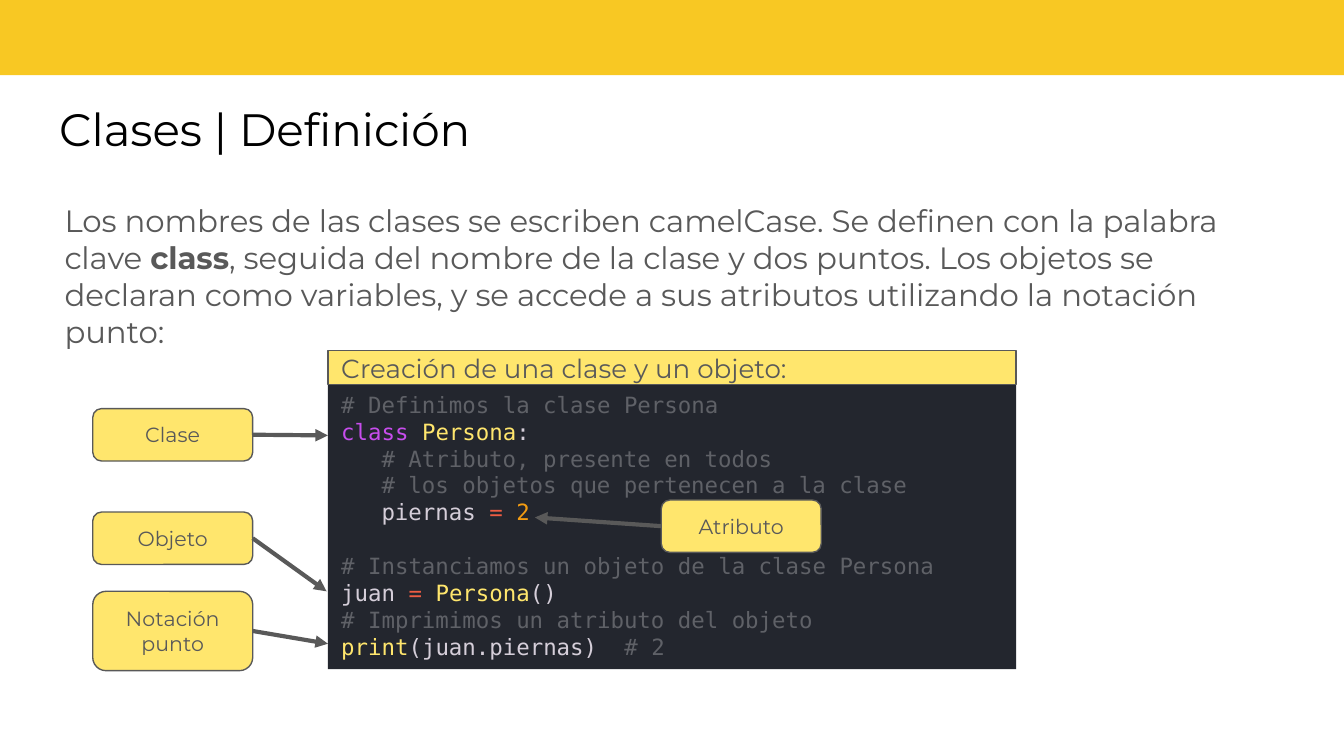
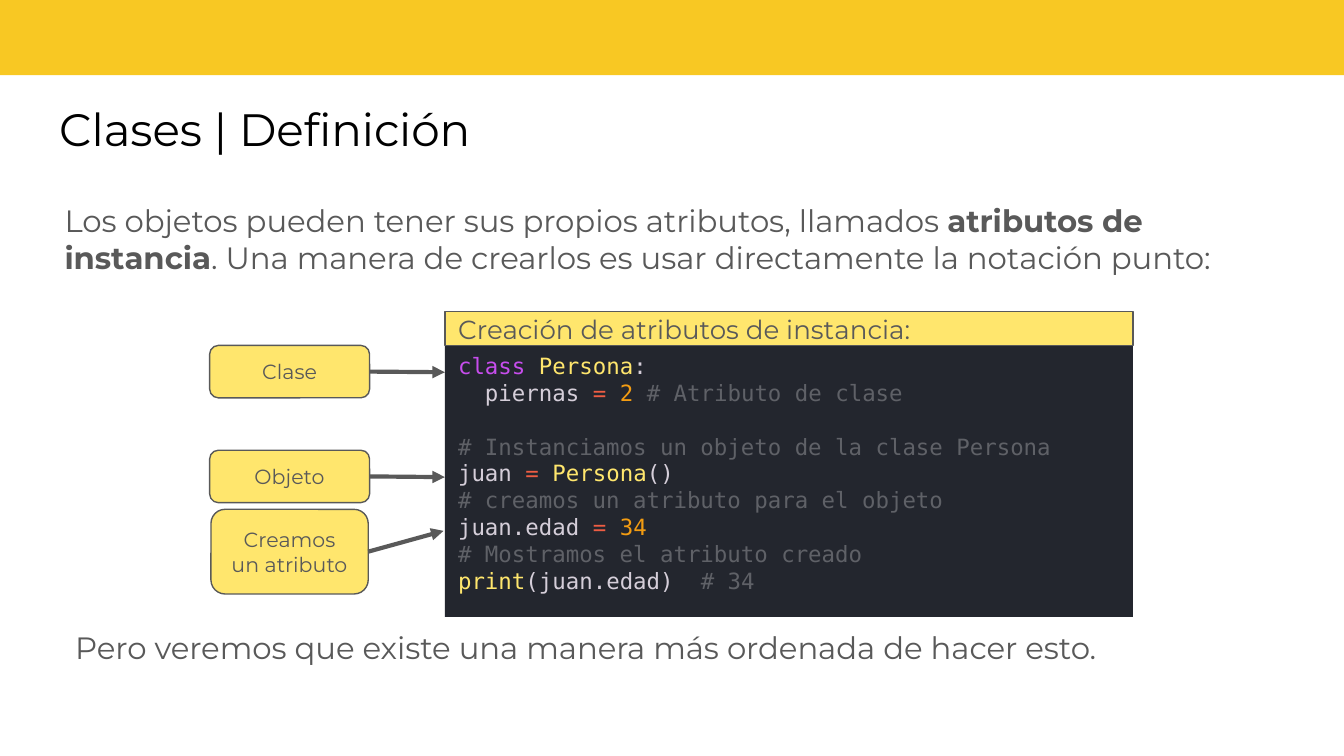
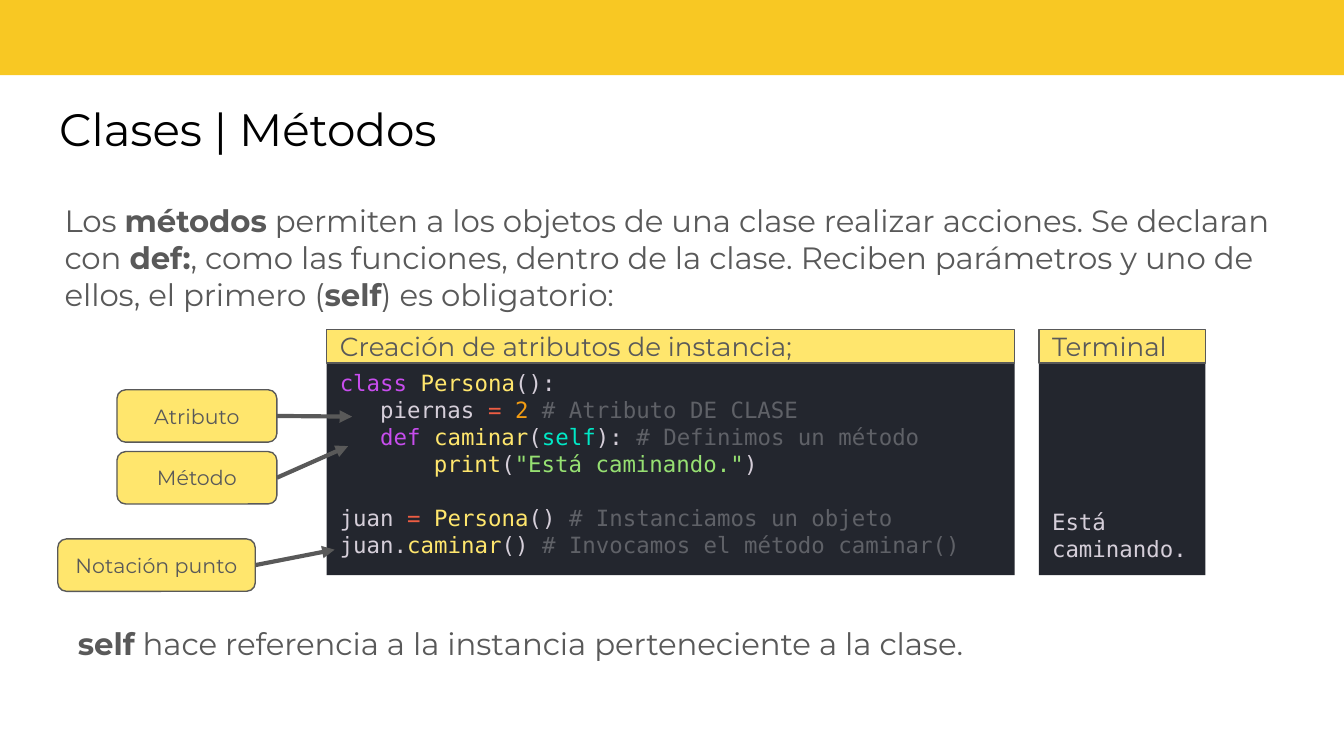
from dataclasses import dataclass
from typing import Any, NamedTuple

from lxml.etree import SubElement
from pptx import Presentation
from pptx.dml.color import RGBColor
from pptx.enum.shapes import MSO_CONNECTOR, MSO_SHAPE
from pptx.enum.text import MSO_ANCHOR, MSO_AUTO_SIZE, PP_ALIGN
from pptx.oxml.ns import qn
from pptx.util import Pt

EMU_PER_PX = 9144
SLIDE_WIDTH = 1000
LEFT_SIDE, RIGHT_SIDE = 1, 3
CODE_CHAR_WIDTH = 10
HEADER_HEIGHT = 25

BAND = "F8C823"
LABEL = "FFE66D"
GRAY = "595959"
BLACK = "000000"
EDITOR = "23262E"
SYNTAX = {
    "plain": "D5CED9",
    "comment": "5F6167",
    "keyword": "C74DED",
    "name": "FFE66D",
    "operator": "EE5D43",
    "number": "F39C12",
    "self": "00E8C6",
    "string": "96E072",
}

TITLE_FONT = {"name": "Montserrat", "size": Pt(24.3)}
PROSE_FONT = {"name": "Montserrat", "size": Pt(16.5)}
HEADER_FONT = {"name": "Montserrat", "size": Pt(14)}
LABEL_FONT = {"name": "Montserrat", "size": Pt(11)}
CODE_FONT = {"name": "DejaVu Sans Mono", "size": Pt(12)}
NOTE_PARAGRAPH = {"line_spacing": 1.15, "space_before": Pt(0), "space_after": Pt(12)}
BLANK_LINE = Pt(14.4)


class Box(NamedTuple):
    left: int
    top: int
    width: int
    height: int


class Token(NamedTuple):
    text: str
    role: str = "plain"


@dataclass(frozen=True)
class CodeLine:
    tokens: tuple[Token, ...]
    indent: int = 0
    after_blank: bool = False


@dataclass(frozen=True)
class Panel:
    header: str
    box: Box
    lines: tuple[CodeLine, ...]
    anchor: Any = MSO_ANCHOR.TOP


@dataclass(frozen=True)
class Callout:
    text: str
    box: Box
    target: tuple[int, int]
    side: int = RIGHT_SIDE


@dataclass(frozen=True)
class Lesson:
    title: str
    intro: str
    panels: tuple[Panel, ...]
    callouts: tuple[Callout, ...]
    note: str = ""
    note_box: Box = Box(0, 0, 0, 0)


def px(length: int) -> int:
    return length * EMU_PER_PX


def rgb(value: str) -> RGBColor:
    return RGBColor.from_string(value)


def apply(target: Any, values: dict[str, Any]) -> None:
    for attribute, value in values.items():
        setattr(target, attribute, value)


def place(shape: Any, box: Box) -> None:
    apply(shape, {side: px(length) for side, length in box._asdict().items()})


def set_frame(shape: Any, anchor: Any, across: int, down: int) -> Any:
    frame = shape.text_frame
    apply(frame, {
        "word_wrap": True,
        "auto_size": MSO_AUTO_SIZE.NONE,
        "vertical_anchor": anchor,
        "margin_left": px(across),
        "margin_right": px(across),
        "margin_top": px(down),
        "margin_bottom": px(down),
    })
    return frame


def add_run(paragraph: Any, text: str, font: dict[str, Any], color: str, bold: bool = False) -> None:
    run = paragraph.add_run()
    run.text = text
    apply(run.font, font | {"bold": bold})
    run.font.color.rgb = rgb(color)


def write(paragraph: Any, text: str, font: dict[str, Any], color: str = GRAY,
          alignment: Any = PP_ALIGN.LEFT) -> None:
    paragraph.alignment = alignment
    for index, part in enumerate(text.split("**")):
        if part:
            add_run(paragraph, part, font, color, index % 2 == 1)


def add_block(slide: Any, kind: Any, box: Box, fill: str, outline: str = "") -> Any:
    block = slide.shapes.add_shape(kind, *map(px, box))
    block.shadow.inherit = False
    block.fill.solid()
    block.fill.fore_color.rgb = rgb(fill)
    if outline:
        block.line.color.rgb = rgb(outline)
        block.line.width = Pt(0.75)
    else:
        block.line.fill.background()
    return block


def add_master_band(deck: Any, slide: Any) -> None:
    band = add_block(slide, MSO_SHAPE.RECTANGLE, Box(-1, -5, 1003, 61), BAND)
    band.element.nvSpPr.cNvPr.set("id", "20")
    deck.slide_master.shapes.element.insert(2, band.element)


def add_panel(slide: Any, panel: Panel) -> None:
    editor = add_block(slide, MSO_SHAPE.RECTANGLE, panel.box, EDITOR)
    down = 5 if panel.anchor == MSO_ANCHOR.TOP else 10
    frame = set_frame(editor, panel.anchor, 10, down)
    for index, line in enumerate(panel.lines):
        paragraph = frame.add_paragraph() if index else frame.paragraphs[0]
        paragraph.alignment = PP_ALIGN.LEFT
        if line.after_blank:
            paragraph.space_before = BLANK_LINE
        if line.indent:
            paragraph._p.get_or_add_pPr().set("marL", str(px(line.indent * CODE_CHAR_WIDTH)))
        for token in line.tokens:
            add_run(paragraph, token.text, CODE_FONT, SYNTAX[token.role])

    header_box = panel.box._replace(top=panel.box.top - HEADER_HEIGHT, height=HEADER_HEIGHT)
    header = add_block(slide, MSO_SHAPE.RECTANGLE, header_box, LABEL, GRAY)
    write(set_frame(header, MSO_ANCHOR.MIDDLE, 10, 5).paragraphs[0], panel.header, HEADER_FONT)


def add_callout(slide: Any, callout: Callout) -> None:
    label = add_block(slide, MSO_SHAPE.FLOWCHART_ALTERNATE_PROCESS, callout.box, LABEL, GRAY)
    frame = set_frame(label, MSO_ANCHOR.MIDDLE, 10, 5)
    write(frame.paragraphs[0], callout.text, LABEL_FONT, alignment=PP_ALIGN.CENTER)

    target = tuple(map(px, callout.target))
    arrow = slide.shapes.add_connector(MSO_CONNECTOR.STRAIGHT, *target, *target)
    arrow.begin_connect(label, callout.side)
    arrow.line.color.rgb = rgb(GRAY)
    arrow.line.width = Pt(2.25)
    properties = arrow.element.spPr
    SubElement(properties.find(qn("a:ln")), qn("a:tailEnd"), type="triangle")
    SubElement(properties, qn("a:effectLst"))


def add_note(slide: Any, lesson: Lesson) -> None:
    note = slide.placeholders[1]
    place(note, lesson.note_box)
    paragraph = set_frame(note, MSO_ANCHOR.TOP, 10, 10).paragraphs[0]
    apply(paragraph, NOTE_PARAGRAPH)
    write(paragraph, lesson.note, PROSE_FONT)
    properties = paragraph._p.get_or_add_pPr()
    for attribute in ("marL", "indent"):
        properties.set(attribute, "0")
    SubElement(properties, qn("a:buNone"))


def fill_slide(slide: Any, lesson: Lesson) -> None:
    title = slide.shapes.title
    place(title, Box(34, 65, 930, 63))
    write(set_frame(title, MSO_ANCHOR.TOP, 10, 10).paragraphs[0], lesson.title, TITLE_FONT, BLACK)

    intro = slide.shapes.add_textbox(*map(px, Box(48, 140, 905, 358)))
    write(set_frame(intro, MSO_ANCHOR.TOP, 0, 10).paragraphs[0], lesson.intro, PROSE_FONT)

    for panel in lesson.panels:
        add_panel(slide, panel)
    for callout in lesson.callouts:
        add_callout(slide, callout)
    if lesson.note:
        add_note(slide, lesson)


def comment(text: str, indent: int = 0, after_blank: bool = False) -> CodeLine:
    return CodeLine((Token(text, "comment"),), indent, after_blank)


def class_header(ending: str) -> CodeLine:
    return CodeLine((Token("class", "keyword"), Token(" "), PERSONA, Token(ending)))


def assign(target: str, value: Token, *rest: Token) -> tuple[Token, ...]:
    return (Token(f"{target} "), Token("=", "operator"), Token(" "), value, *rest)


def print_call(argument: str, output: str) -> CodeLine:
    return CodeLine((Token("print", "name"), Token(f"({argument})  "), Token(output, "comment")))


def label_box(left: int, top: int, width: int = 119, height: int = 39) -> Box:
    return Box(left, top, width, height)


TWO = Token("2", "number")
PERSONA = Token("Persona", "name")
CAMINAR = Token("caminar", "name")
NEW_JUAN = assign("juan", PERSONA, Token("()"))

LESSONS = (
    Lesson(
        "Clases | Definición",
        "Los nombres de las clases se escriben camelCase. Se definen con la palabra clave "
        "**class**, seguida del nombre de la clase y dos puntos. Los objetos se declaran como "
        "variables, y se accede a sus atributos utilizando la notación punto:",
        (Panel("Creación de una clase y un objeto:", Box(244, 286, 512, 212), (
            comment("# Definimos la clase Persona"),
            class_header(":"),
            comment("# Atributo, presente en todos", 3),
            comment("# los objetos que pertenecen a la clase", 3),
            CodeLine(assign("piernas", TWO), 3),
            comment("# Instanciamos un objeto de la clase Persona", after_blank=True),
            CodeLine(NEW_JUAN),
            comment("# Imprimimos un atributo del objeto"),
            print_call("juan.piernas", "# 2"),
        )),),
        (
            Callout("Clase", label_box(69, 304), (244, 324)),
            Callout("Objeto", label_box(69, 381), (243, 440)),
            Callout("Notación punto", label_box(69, 440, height=59), (244, 479)),
            Callout("Atributo", label_box(492, 372), (398, 385), LEFT_SIDE),
        ),
    ),
    Lesson(
        "Clases | Definición",
        "Los objetos pueden tener sus propios atributos, llamados **atributos de instancia**. "
        "Una manera de crearlos es usar directamente la notación punto:",
        (Panel("Creación de atributos de instancia:", Box(331, 257, 512, 202), (
            class_header(":"),
            CodeLine(assign("piernas", TWO, Token(" "), Token("# Atributo de clase", "comment")), 2),
            comment("# Instanciamos un objeto de la clase Persona", after_blank=True),
            CodeLine(NEW_JUAN),
            comment("# creamos un atributo para el objeto"),
            CodeLine(assign("juan.edad", Token("34", "number"))),
            comment("# Mostramos el atributo creado"),
            print_call("juan.edad", "# 34"),
        )),),
        (
            Callout("Clase", label_box(156, 257), (331, 277)),
            Callout("Objeto", label_box(156, 335), (331, 355)),
            Callout("Creamos un atributo", label_box(157, 379, 117, 63), (330, 395)),
        ),
        "Pero veremos que existe una manera más ordenada de hacer esto.",
        Box(46, 454, 906, 41),
    ),
    Lesson(
        "Clases | Métodos",
        "Los **métodos** permiten a los objetos de una clase realizar acciones. Se declaran con "
        "**def:**, como las funciones, dentro de la clase. Reciben parámetros y uno de ellos, "
        "el primero (**self**) es obligatorio:",
        (
            Panel("Creación de atributos de instancia;", Box(243, 270, 512, 158), (
                class_header("():"),
                CodeLine(assign("piernas", TWO, Token(" "), Token("# Atributo DE CLASE", "comment")), 3),
                CodeLine((Token("def", "keyword"), Token(" "), CAMINAR, Token("("),
                          Token("self", "self"), Token("): "),
                          Token("# Definimos un método", "comment")), 3),
                CodeLine((Token("print", "name"), Token("("),
                          Token('"Está caminando."', "string"), Token(")")), 7),
                CodeLine((*NEW_JUAN, Token(" "), Token("# Instanciamos un objeto", "comment")),
                         after_blank=True),
                CodeLine((Token("juan."), CAMINAR, Token("() "),
                          Token("# Invocamos el método caminar()", "comment"))),
            )),
            Panel("Terminal", Box(773, 270, 124, 158),
                  (CodeLine((Token("Está caminando."),)),), MSO_ANCHOR.BOTTOM),
        ),
        (
            Callout("Atributo", label_box(87, 290), (262, 310)),
            Callout("Método", label_box(87, 336), (259, 332)),
            Callout("Notación punto", label_box(43, 401, width=147), (249, 409)),
        ),
        "**self** hace referencia a la instancia perteneciente a la clase.",
        Box(48, 451, 906, 57),
    ),
)


def main() -> None:
    deck = Presentation()
    apply(deck, {"slide_width": px(SLIDE_WIDTH), "slide_height": px(SLIDE_WIDTH) * 9 // 16})
    title_and_body, title_only = deck.slide_layouts[1], deck.slide_layouts[5]
    for index, lesson in enumerate(LESSONS):
        slide = deck.slides.add_slide(title_and_body if lesson.note else title_only)
        if index == 0:
            add_master_band(deck, slide)
        fill_slide(slide, lesson)
    deck.save("out.pptx")


if __name__ == "__main__":
    main()
